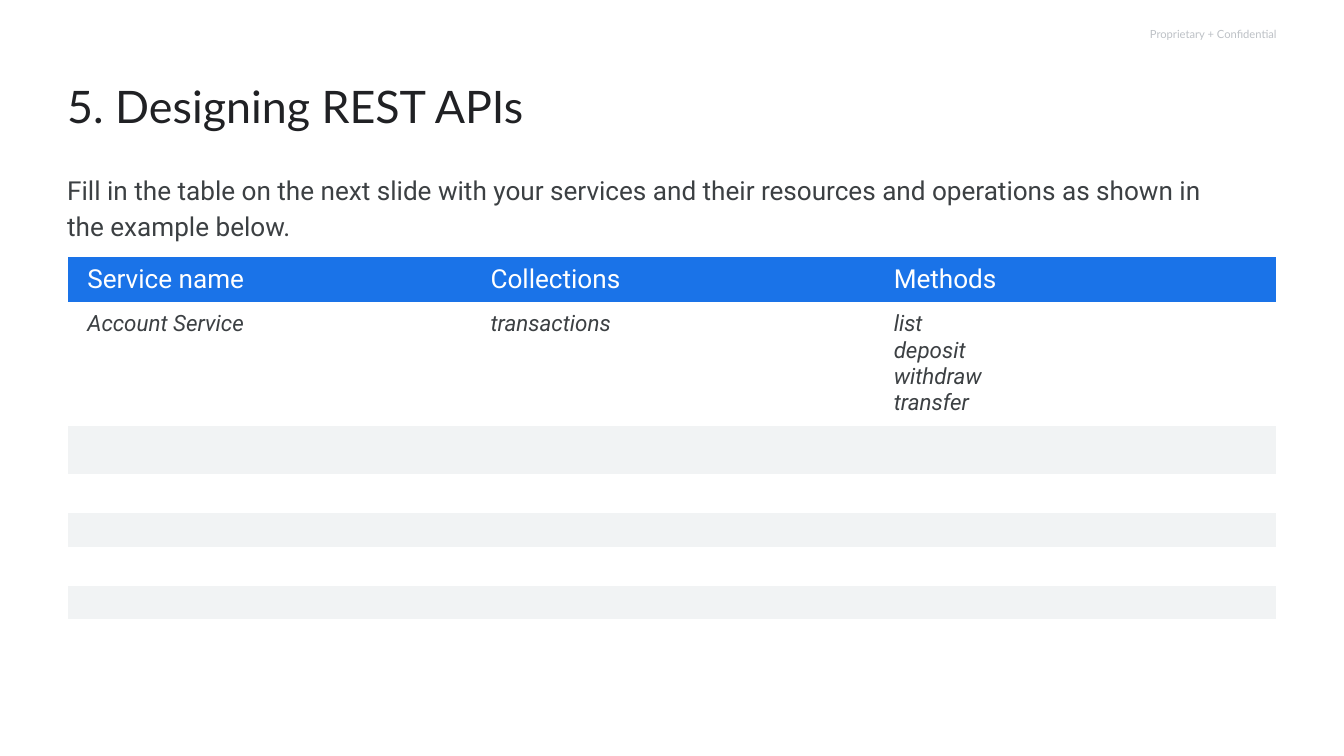
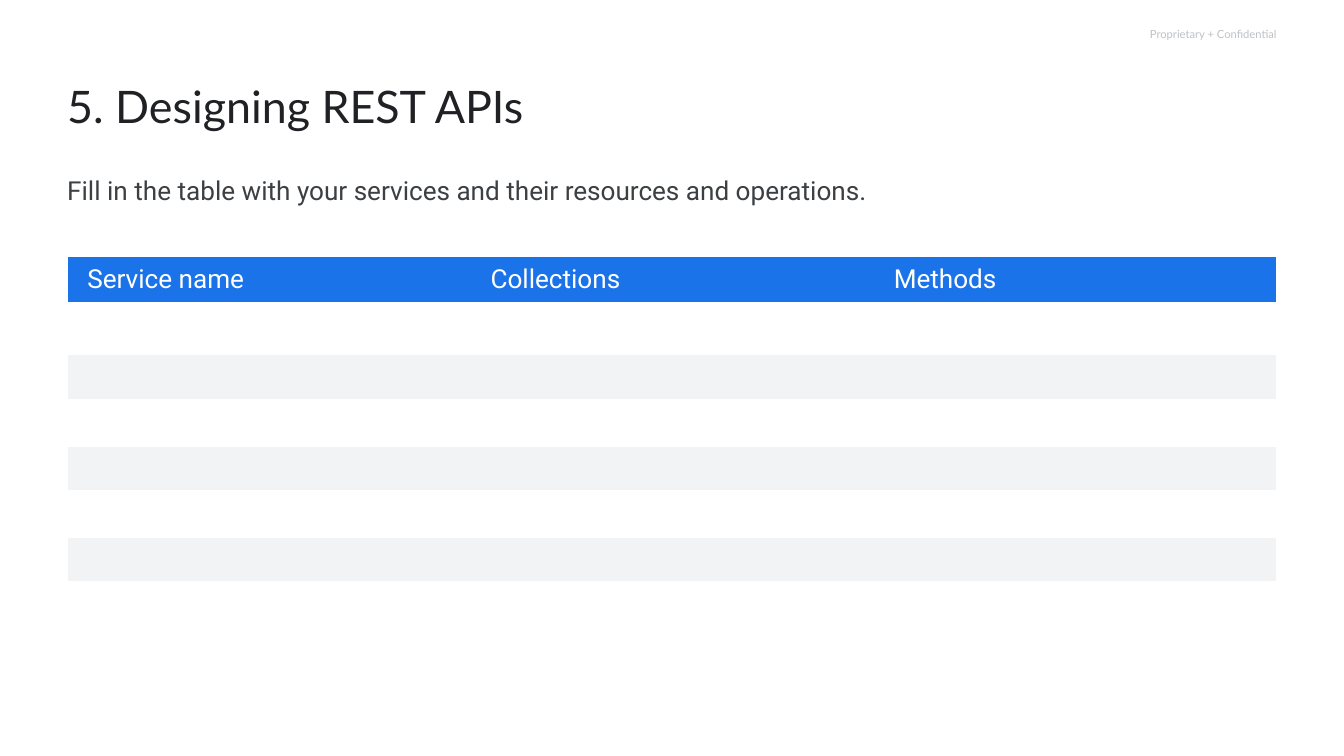
from dataclasses import dataclass
from typing import Optional

from lxml.etree import SubElement
from pptx import Presentation
from pptx.dml.color import RGBColor
from pptx.enum.text import MSO_ANCHOR, MSO_AUTO_SIZE, PP_ALIGN
from pptx.oxml import parse_xml
from pptx.oxml.ns import nsdecls, qn
from pptx.util import Emu, Pt

EMU_PER_PX = 9144

WHITE = "FFFFFF"
BLUE = "1A73E8"
BAND_GREY = "F1F3F4"
TITLE_INK = "202124"
BODY_INK = "3C4043"
NOTICE_GREY = "BDC1C6"

PLAIN_TABLE_STYLE = "{2D5ABB26-0587-4C30-8999-92F81FD0307C}"
RULE_WIDTH = Pt(3)
COLUMN_WIDTH = 600
TITLE = "5. Designing REST APIs"
NOTICE = "Proprietary + Confidential"
HEADINGS = ("Service name", "Collections", "Methods")


@dataclass(frozen=True)
class Box:
    left: int
    top: int
    width: int
    height: int


@dataclass(frozen=True)
class Insets:
    left: int = 0
    top: int = 0
    right: int = 0
    bottom: int = 0


@dataclass(frozen=True)
class TextStyle:
    font: str
    size: int
    color: str
    italic: bool = False
    align: PP_ALIGN = PP_ALIGN.LEFT
    line_spacing: Optional[float] = None
    space_after: int = 0


@dataclass(frozen=True)
class Exercise:
    instruction: str
    row_heights: tuple[int, ...]
    example: tuple[str, ...] = ("", "", "")


NOTICE_STYLE = TextStyle("Lato", 12, NOTICE_GREY, align=PP_ALIGN.RIGHT)
TITLE_STYLE = TextStyle("Lato", 48, TITLE_INK, line_spacing=1.2)
INSTRUCTION_STYLE = TextStyle("Roboto", 28, BODY_INK, line_spacing=1.15, space_after=16)
HEADING_STYLE = TextStyle("Roboto", 28, WHITE)
EXAMPLE_STYLE = TextStyle("Roboto", 24, BODY_INK, italic=True)

NOTICE_BOX = Box(1479, 0, 421, 101)
TITLE_BOX = Box(100, 101, 1730, 219)
INSTRUCTION_BOX = Box(100, 253, 1723, 61)
TABLE_LEFT, TABLE_TOP = 100, 381
HEADING_INSETS = Insets(30, 12, 10, 12)
EXAMPLE_INSETS = Insets(30, 12, 20, 12)

EXERCISES = (
    Exercise(
        "Fill in the table on the next slide with your services and their "
        "resources and operations as shown in the example below.",
        (70, 180, 76) + (54,) * 4,
        ("Account Service", "transactions", "list\ndeposit\nwithdraw\ntransfer"),
    ),
    Exercise(
        "Fill in the table with your services and their resources and operations.",
        (70, 76) + (68,) * 5,
    ),
)


def px(length: int) -> Emu:
    return Emu(length * EMU_PER_PX)


def rgb(color: str) -> RGBColor:
    return RGBColor.from_string(color)


def set_insets(target, insets: Insets) -> None:
    target.margin_left = px(insets.left)
    target.margin_top = px(insets.top)
    target.margin_right = px(insets.right)
    target.margin_bottom = px(insets.bottom)


def write(frame, text: str, style: TextStyle, unbullet: bool = False) -> None:
    for index, line in enumerate(text.split("\n")):
        paragraph = frame.add_paragraph() if index else frame.paragraphs[0]
        if unbullet:
            properties = paragraph._p.get_or_add_pPr()
            properties.set("marL", "0")
            properties.set("indent", "0")
            SubElement(properties, qn("a:buNone"))
        paragraph.alignment = style.align
        paragraph.space_before = Pt(0)
        paragraph.space_after = Pt(style.space_after)
        if style.line_spacing:
            paragraph.line_spacing = style.line_spacing
        run = paragraph.add_run()
        run.text = line
        run.font.name = style.font
        run.font.size = Pt(style.size)
        run.font.italic = style.italic
        run.font.color.rgb = rgb(style.color)


def fill_text_shape(shape, box: Box, text: str, style: TextStyle,
                    insets: Insets = Insets(), anchor: MSO_ANCHOR = MSO_ANCHOR.TOP,
                    unbullet: bool = False) -> None:
    shape.left, shape.top = px(box.left), px(box.top)
    shape.width, shape.height = px(box.width), px(box.height)
    frame = shape.text_frame
    frame.word_wrap = True
    frame.auto_size = MSO_AUTO_SIZE.NONE
    frame.vertical_anchor = anchor
    set_insets(frame, insets)
    write(frame, text, style, unbullet)


def rule_cell(cell, sides: str) -> None:
    properties = cell._tc.get_or_add_tcPr()
    for index, side in enumerate(sides):
        properties.insert(index, parse_xml(
            f'<a:ln{side} {nsdecls("a")} w="{RULE_WIDTH}"><a:solidFill>'
            f'<a:srgbClr val="{WHITE}"/></a:solidFill></a:ln{side}>'
        ))


def paint_cell(cell, row: int) -> None:
    if row and row % 2:
        cell.fill.background()
    else:
        cell.fill.solid()
        cell.fill.fore_color.rgb = rgb(BAND_GREY if row else BLUE)


def add_service_table(slide, exercise: Exercise) -> None:
    heights = exercise.row_heights
    last_column = len(HEADINGS) - 1
    table = slide.shapes.add_table(
        len(heights), len(HEADINGS), px(TABLE_LEFT), px(TABLE_TOP),
        px(COLUMN_WIDTH * len(HEADINGS)), px(sum(heights)),
    ).table
    table.first_row = table.horz_banding = False
    table._tbl.tblPr.find(qn("a:tableStyleId")).text = PLAIN_TABLE_STYLE
    for column in table.columns:
        column.width = px(COLUMN_WIDTH)
    for row, height in enumerate(heights):
        table.rows[row].height = px(height)
        for column in range(len(HEADINGS)):
            cell = table.cell(row, column)
            paint_cell(cell, row)
            rule_cell(cell, {0: "LTB", last_column: "RTB"}.get(column, "TB"))
            if row == 0:
                cell.vertical_anchor = MSO_ANCHOR.MIDDLE
                set_insets(cell, HEADING_INSETS)
                write(cell.text_frame, HEADINGS[column], HEADING_STYLE)
            elif row == 1 and exercise.example[column]:
                set_insets(cell, EXAMPLE_INSETS)
                write(cell.text_frame, exercise.example[column], EXAMPLE_STYLE)


def add_exercise(deck, exercise: Exercise) -> None:
    slide = deck.slides.add_slide(deck.slide_layouts[1])
    title, instruction = slide.placeholders
    notice = slide.shapes.add_textbox(0, 0, 0, 0)
    fill_text_shape(notice, NOTICE_BOX, NOTICE, NOTICE_STYLE, anchor=MSO_ANCHOR.MIDDLE)
    fill_text_shape(title, TITLE_BOX, TITLE, TITLE_STYLE, Insets(right=20))
    add_service_table(slide, exercise)
    fill_text_shape(instruction, INSTRUCTION_BOX, exercise.instruction,
                    INSTRUCTION_STYLE, unbullet=True)


def main() -> None:
    deck = Presentation()
    deck.slide_width, deck.slide_height = px(2000), px(1125)
    for exercise in EXERCISES:
        add_exercise(deck, exercise)
    deck.save("out.pptx")


if __name__ == "__main__":
    main()
